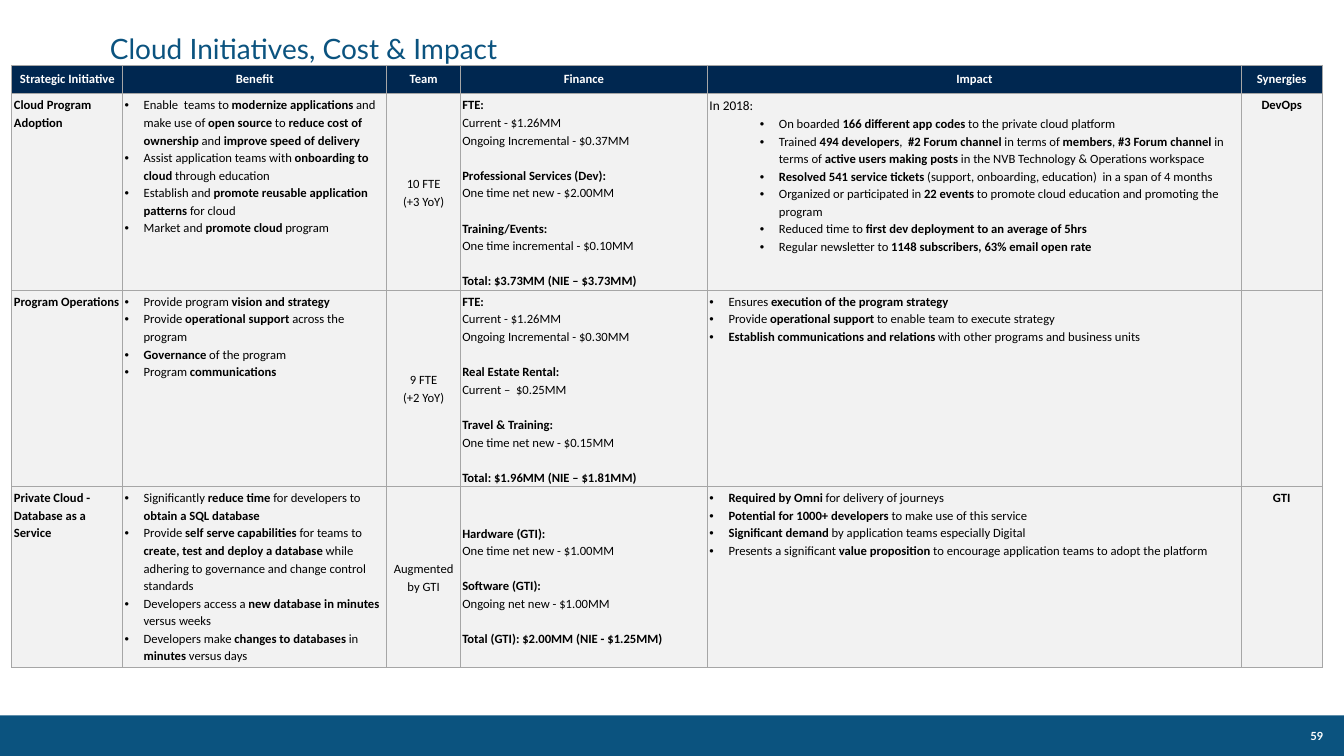
"""Build the cloud initiatives slide: a cost and impact table with title and footer."""
from lxml.etree import SubElement
from pptx import Presentation
from pptx.dml.color import RGBColor
from pptx.enum.shapes import MSO_SHAPE
from pptx.enum.text import MSO_ANCHOR, PP_ALIGN
from pptx.oxml.ns import qn
from pptx.util import Cm, Pt

BLUE = RGBColor(0x0B, 0x53, 0x7F)
NAVY = RGBColor(0x00, 0x27, 0x50)
GREY = RGBColor(0xF2, 0xF2, 0xF2)
LINE = RGBColor(0xA6, 0xA6, 0xA6)
WHITE = RGBColor(0xFF, 0xFF, 0xFF)
BLACK = RGBColor(0, 0, 0)


def write(frame, text, size=9, font="Calibri", color=BLACK, align=PP_ALIGN.LEFT, spacing=1.15):
    """Write lines; ** marks bold, "- " and "-- " mark bullets, an empty line adds a gap."""
    frame.word_wrap = True
    para, gap = None, False
    for line in text.strip().split("\n"):
        if not line:
            gap = True
            continue
        para = frame.add_paragraph() if para else frame.paragraphs[0]
        mark, _, rest = line.partition(" ")
        if mark in ("-", "--"):
            line = rest
            props = para._p.get_or_add_pPr()
            props.set("marL", str(Cm(0.48 if mark == "-" else 1.75)))
            props.set("indent", str(-Cm(0.48)))
            SubElement(props, qn("a:buFont"), typeface="Arial")
            SubElement(props, qn("a:buChar"), char="•")
            para.level = len(mark) - 1
        para.alignment = align
        para.line_spacing = spacing
        if gap:
            para.space_before = Pt(12.6)
            gap = False
        for i, part in enumerate(line.split("**")):
            if part:
                run = para.add_run()
                run.text = part
                run.font.size = Pt(size)
                run.font.name = font
                run.font.bold = i % 2 == 1
                run.font.color.rgb = color


def add_text(left, top, width, height, text, **style):
    """Add a middle-anchored text box without margins."""
    box = slide.shapes.add_textbox(Cm(left), Cm(top), Cm(width), Cm(height))
    frame = box.text_frame
    frame.margin_left = frame.margin_right = frame.margin_top = frame.margin_bottom = 0
    frame.vertical_anchor = MSO_ANCHOR.MIDDLE
    write(frame, text, font="Lato", **style)


HEADS = ["Strategic Initiative", "Benefit", "Team", "Finance", "Impact", "Synergies"]
ROWS = [
    ["**Cloud Program Adoption**", """
- Enable  teams to **modernize applications **and make use of **open source **to** reduce cost of ownership **and** improve speed of delivery**
- Assist application teams with **onboarding to cloud **through education
- Establish and **promote reusable application patterns **for cloud
- Market and **promote cloud **program
""", "10 FTE\n(+3 YoY)", """
**FTE:**
Current - $1.26MM
Ongoing Incremental - $0.37MM

**Professional Services (Dev):**
One time net new - $2.00MM

**Training/Events:**
One time incremental - $0.10MM

**Total: $3.73MM (NIE – $3.73MM)**
""", """
In 2018:
-- On boarded **166 different app codes** to the private cloud platform
-- Trained **494 developers**,  **#2 Forum channel** in terms of **members**, **#3 Forum channel **in terms of **active users making posts **in the NVB Technology & Operations workspace
-- **Resolved 541 service tickets **(support, onboarding, education)  in a span of 4 months
-- Organized or participated in **22 events** to promote cloud education and promoting the program
-- Reduced time to **first dev deployment to an average of 5hrs**
-- Regular newsletter to **1148 subscribers, 63% email open rate**
""", "**DevOps**"],
    ["**Program Operations**", """
- Provide program **vision and strategy**
- Provide **operational support **across the program
- **Governance** of the program
- Program **communications**
""", "9 FTE\n(+2 YoY)", """
**FTE:**
Current - $1.26MM
Ongoing Incremental - $0.30MM

**Real Estate Rental:**
Current –  $0.25MM

**Travel & Training:**
One time net new - $0.15MM

**Total: $1.96MM (NIE – $1.81MM)**
""", """
- Ensures **execution of the program strategy**
- Provide **operational support **to enable team to execute strategy
- **Establish communications and relations **with other programs and business units
""", ""],
    ["**Private Cloud - Database as a Service**", """
- Significantly **reduce time **for developers to **obtain a SQL database**
- Provide **self serve capabilities **for teams to **create, test and deploy a database** while adhering to governance and change control standards
- Developers access a **new database in minutes** versus weeks
- Developers make** changes to databases **in **minutes** versus days
""", "Augmented by GTI", """
**Hardware (GTI):**
One time net new - $1.00MM

**Software (GTI):**
Ongoing net new - $1.00MM

**Total (GTI): $2.00MM (NIE - $1.25MM)**
""", """
- **Required by Omni **for delivery of journeys
- **Potential for 1000+ developers **to make use of this service
- **Significant demand** by application teams especially Digital
- Presents a significant **value proposition** to encourage application teams to adopt the platform
""", "**GTI**"],
]
WIDTHS = [2.79, 6.66, 1.85, 6.23, 13.45, 2.04]
HEIGHTS = [0.71, 4.95, 4.95, 4.55]

deck = Presentation()
deck.slide_width, deck.slide_height = Cm(33.87), Cm(19.05)
slide = deck.slides.add_slide(deck.slide_layouts[6])

bar = slide.shapes.add_shape(MSO_SHAPE.RECTANGLE, 0, Cm(18.03), Cm(33.87), Cm(1.02))
bar.shadow.inherit = False
bar.fill.solid()
bar.fill.fore_color.rgb = BLUE
bar.line.fill.background()

add_text(2.77, 0.51, 30.48, 1.52, "Cloud Initiatives, Cost & Impact",
         size=20, color=BLUE, spacing=0.9)
add_text(25.73, 18.03, 7.62, 1.02, "**59**",
         size=8, color=WHITE, align=PP_ALIGN.RIGHT, spacing=1)

table = slide.shapes.add_table(4, 6, Cm(0.3), Cm(1.65), Cm(sum(WIDTHS)), Cm(sum(HEIGHTS))).table
table.first_row = table.horz_banding = False
for column, width in zip(table.columns, WIDTHS):
    column.width = Cm(width)
for row, height in zip(table.rows, HEIGHTS):
    row.height = Cm(height)

for r, texts in enumerate([[f"**{head}**" for head in HEADS]] + ROWS):
    for c, text in enumerate(texts):
        cell = table.cell(r, c)
        top = r == 0
        pad = Cm(0.13 if top else 0.05)
        cell.margin_left = cell.margin_right = cell.margin_top = cell.margin_bottom = pad
        cell.vertical_anchor = MSO_ANCHOR.MIDDLE if top or c in (2, 3) else MSO_ANCHOR.TOP
        for side in ("lnL", "lnR", "lnT", "lnB"):
            edge = SubElement(cell._tc.get_or_add_tcPr(), qn(f"a:{side}"), w=str(Pt(1)))
            SubElement(SubElement(edge, qn("a:solidFill")), qn("a:srgbClr"), val=str(LINE))
        cell.fill.solid()
        cell.fill.fore_color.rgb = NAVY if top else GREY
        if text:
            write(cell.text_frame, text, color=WHITE if top else BLACK, spacing=1 if top else 1.15,
                  align=PP_ALIGN.CENTER if top or c in (2, 5) else PP_ALIGN.LEFT)

table.cell(1, 4).text_frame.paragraphs[0].runs[0].font.size = Pt(9.5)
table.cell(3, 3).margin_top = Cm(0.49)
deck.save("out.pptx")
